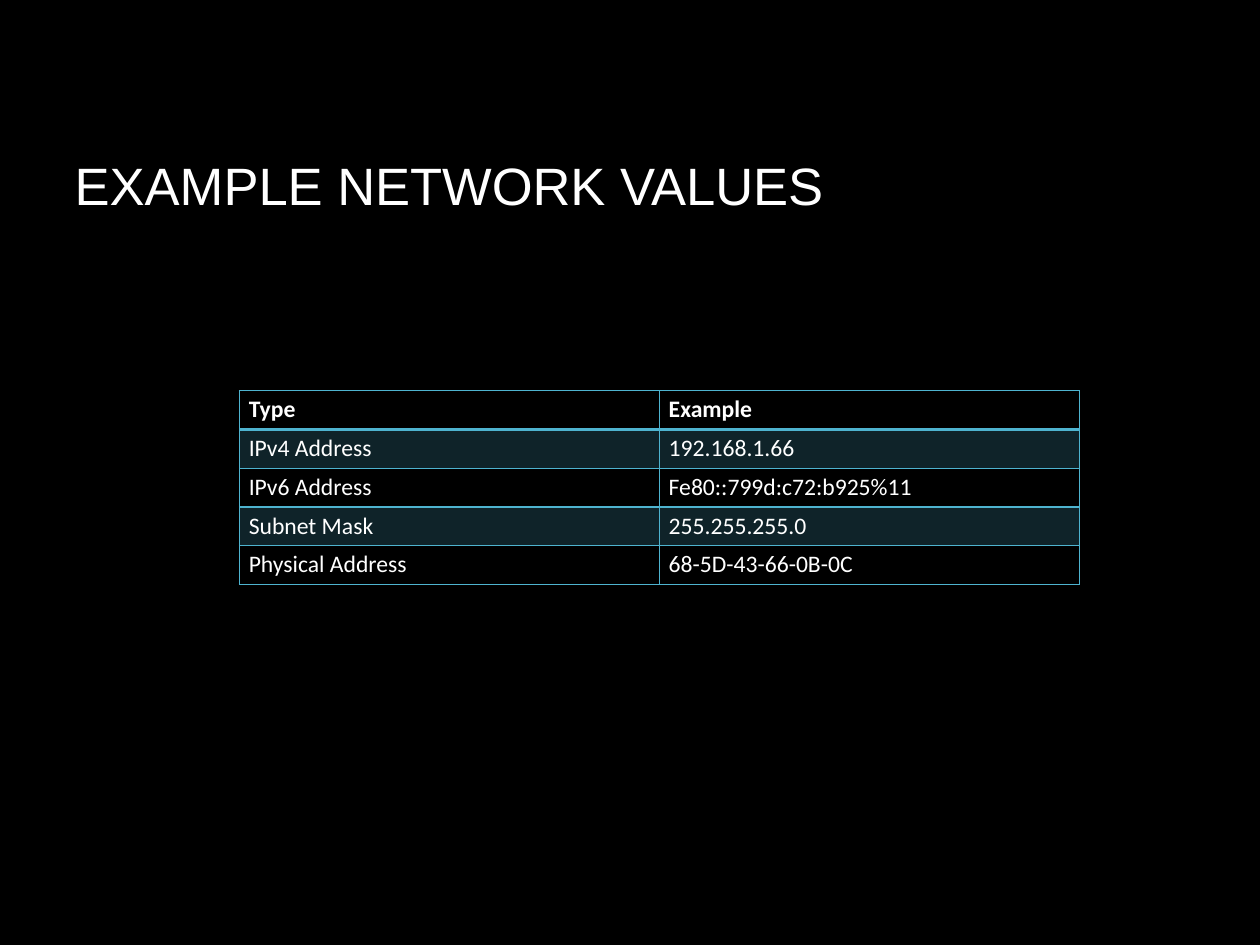
from pptx import Presentation
from pptx.dml.color import RGBColor
from pptx.enum.text import MSO_ANCHOR, PP_ALIGN
from pptx.oxml.ns import qn
from pptx.util import Inches, Pt
from lxml.etree import SubElement

COLORS = {"background": "000000", "text": "FFFFFF", "accent": "4EB3CF"}
BAND_OPACITY = 20
ROW_HEIGHT = 0.41
NETWORK_VALUES = [
    ("Type", "Example"),
    ("IPv4 Address", "192.168.1.66"),
    ("IPv6 Address", "Fe80::799d:c72:b925%11"),
    ("Subnet Mask", "255.255.255.0"),
    ("Physical Address", "68-5D-43-66-0B-0C"),
]


def color(name):
    """Return the named palette colour."""
    return RGBColor.from_string(COLORS[name])


def format_text(paragraph, font_name, size, bold=False):
    """Align a paragraph left and style its runs."""
    paragraph.alignment = PP_ALIGN.LEFT
    for run in paragraph.runs:
        run.font.name = font_name
        run.font.size = Pt(size)
        run.font.bold = bold
        run.font.color.rgb = color("text")


def set_borders(cell, widths):
    """Draw accent borders with the given width in points for each side."""
    properties = cell._tc.get_or_add_tcPr()
    for side, width in widths.items():
        line = SubElement(properties, qn(f"a:ln{side}"), w=str(Pt(width)))
        fill = SubElement(line, qn("a:solidFill"))
        SubElement(fill, qn("a:srgbClr"), val=COLORS["accent"])


def set_fill(cell, banded):
    """Give a cell a translucent accent band or no fill."""
    if not banded:
        cell.fill.background()
        return
    cell.fill.solid()
    cell.fill.fore_color.rgb = color("accent")
    fill_color = cell._tc.tcPr.find(qn("a:solidFill")).find(qn("a:srgbClr"))
    SubElement(fill_color, qn("a:alpha"), val=str(BAND_OPACITY * 1000))


def add_title(slide, text, left, top, width, height):
    """Place and format the title placeholder."""
    title = slide.shapes.title
    title.left, title.top = Inches(left), Inches(top)
    title.width, title.height = Inches(width), Inches(height)
    title.text_frame.text = text
    title.text_frame.word_wrap = True
    title.text_frame.vertical_anchor = MSO_ANCHOR.MIDDLE
    format_text(title.text_frame.paragraphs[0], "Arial", 40)


def add_value_table(slide, rows, left, top, width):
    """Add the table with a ruled header and alternating bands."""
    shape = slide.shapes.add_table(
        len(rows), len(rows[0]), Inches(left), Inches(top),
        Inches(width), Inches(ROW_HEIGHT * len(rows)))
    table = shape.table
    for row_index, values in enumerate(rows):
        is_header = row_index == 0
        for column_index, value in enumerate(values):
            cell = table.cell(row_index, column_index)
            cell.text_frame.text = value
            format_text(cell.text_frame.paragraphs[0], "Calibri", 18, is_header)
            set_borders(cell, {"L": 1, "R": 1,
                               "T": 2 if row_index == 1 else 1,
                               "B": 2 if is_header else 1})
            set_fill(cell, row_index % 2 == 1)


def main():
    """Build and save the presentation."""
    presentation = Presentation()
    presentation.slide_width = Inches(13.32)
    presentation.slide_height = Inches(9.99)
    slide = presentation.slides.add_slide(presentation.slide_layouts[5])
    slide.background.fill.solid()
    slide.background.fill.fore_color.rgb = color("background")
    add_title(slide, "EXAMPLE NETWORK VALUES", 0.69, 0.89, 11.32, 2.12)
    add_value_table(slide, NETWORK_VALUES, 2.53, 4.13, 8.88)
    presentation.save("out.pptx")


if __name__ == "__main__":
    main()
